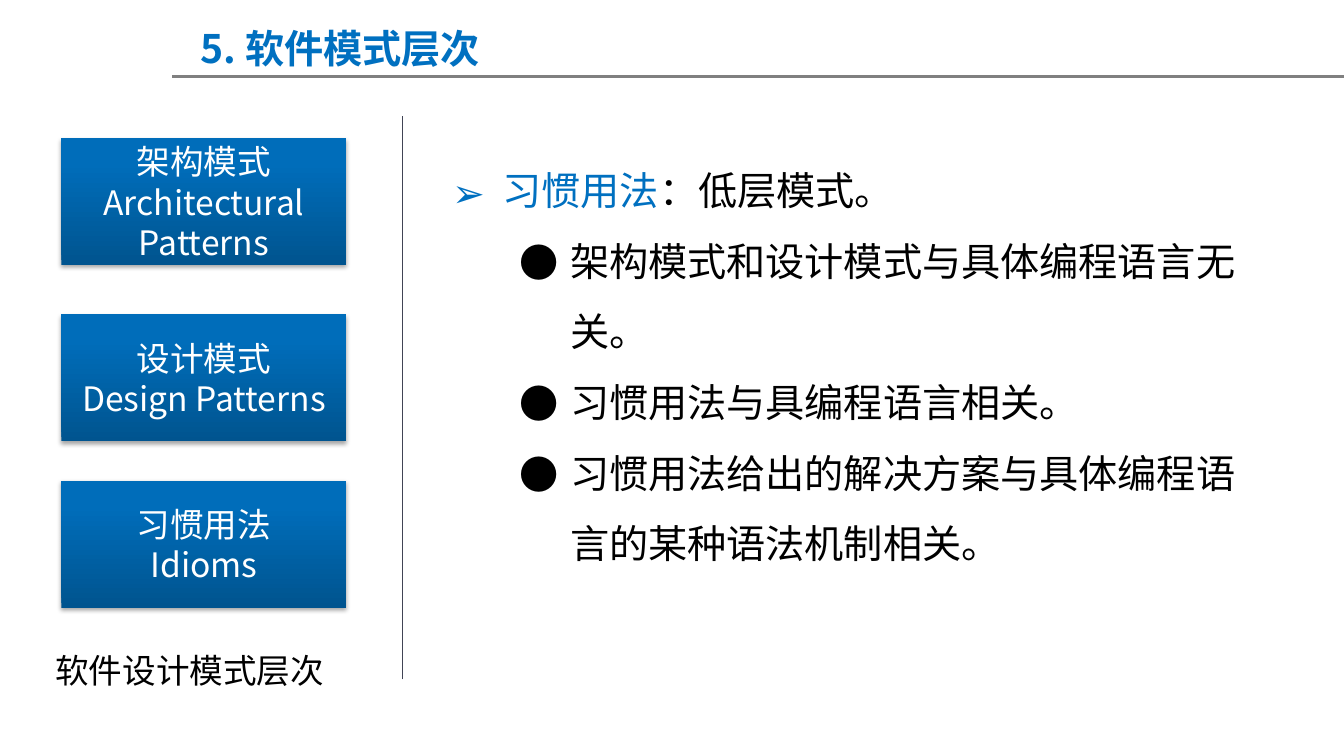
import pptx
import pptx.util
import pptx.dml.color
import pptx.enum.shapes
import pptx.enum.text
import pptx.oxml
import pptx.oxml.ns
from pptx.util import Inches

FONT = "Noto Sans CJK SC"
COLOURS = {
    "accent": "0070C0",
    "text": "000000",
    "white": "FFFFFF",
    "title_rule": "808080",
    "divider": "414455",
}
LEVEL_GRADIENT = [(0, "00548F"), (80, "006DBA"), (100, "006DBB")]
LEVELS = [
    (1.37, "架构模式", "Architectural Patterns"),
    (3.12, "设计模式", "Design Patterns"),
    (4.77, "习惯用法", "Idioms"),
]
IDIOM_POINTS = [
    "架构模式和设计模式与具体编程语言无关。",
    "习惯用法与具编程语言相关。",
    "习惯用法给出的解决方案与具体编程语言的某种语法机制相关。",
]


def rgb(name):
    """Return the named colour."""
    return pptx.dml.color.RGBColor.from_string(COLOURS[name])


def add_xml(parent, tag, **attributes):
    """Append a DrawingML element to its parent."""
    element = parent.makeelement(pptx.oxml.ns.qn(tag), attributes)
    parent.append(element)
    return element


def style_span(span, size, colour, bold=False):
    """Set the font of one run for Latin and East Asian text."""
    span.font.size = pptx.util.Pt(size)
    span.font.bold = bold
    span.font.color.rgb = rgb(colour)
    span.font.name = FONT
    add_xml(span.font._element, "a:ea", typeface=FONT)


def add_text_box(page, left, top, width, height):
    """Add a wrapping text box that grows with its text."""
    box = page.shapes.add_textbox(Inches(left), Inches(top), Inches(width), Inches(height))
    box.text_frame.word_wrap = True
    box.text_frame.auto_size = pptx.enum.text.MSO_AUTO_SIZE.SHAPE_TO_FIT_TEXT
    return box


def add_label(page, text, left, top, width, height, size, colour, bold=False):
    """Add a text box with a single line."""
    box = add_text_box(page, left, top, width, height)
    box.text_frame.text = text
    style_span(box.text_frame.paragraphs[0].runs[0], size, colour, bold)


def add_line(page, start, end, colour, width):
    """Add a straight line without a shadow."""
    line = page.shapes.add_connector(
        pptx.enum.shapes.MSO_CONNECTOR.STRAIGHT, *map(Inches, start + end)
    )
    line.line.color.rgb = rgb(colour)
    line.line.width = pptx.util.Pt(width)
    add_xml(line._element.spPr, "a:effectLst")


def fill_level(box):
    """Give a level box its upward gradient and soft shadow."""
    box.fill.gradient()
    box.fill.gradient_angle = 90
    stops = box._element.spPr.find(".//" + pptx.oxml.ns.qn("a:gsLst"))
    for stop in list(stops):
        stops.remove(stop)
    for position, colour in LEVEL_GRADIENT:
        stop = add_xml(stops, "a:gs", pos=str(position * 1000))
        add_xml(stop, "a:srgbClr", val=colour)
    box.line.fill.background()
    box.shadow.inherit = False
    effects = box._element.spPr.find(pptx.oxml.ns.qn("a:effectLst"))
    shadow = add_xml(
        effects, "a:outerShdw", blurRad="40000", dist="23000", dir="5400000", rotWithShape="0"
    )
    add_xml(add_xml(shadow, "a:srgbClr", val=COLOURS["text"]), "a:alpha", val="35000")


def add_level(group, top, chinese, english):
    """Add one level of the pattern hierarchy."""
    box = group.shapes.add_shape(
        pptx.enum.shapes.MSO_SHAPE.RECTANGLE,
        Inches(0.61), Inches(top), Inches(2.83), Inches(1.26),
    )
    fill_level(box)
    frame = box.text_frame
    frame.word_wrap = True
    frame.vertical_anchor = pptx.enum.text.MSO_ANCHOR.MIDDLE
    frame.text = f"{chinese}\n{english}"
    for para in frame.paragraphs:
        para.alignment = pptx.enum.text.PP_ALIGN.CENTER
        style_span(para.runs[0], 24, "white")


def format_bullet(para, symbol, margin, level):
    """Set the bullet, hanging indent and line spacing of a paragraph."""
    para.level = level
    para.line_spacing = 1.5
    properties = para._element.get_or_add_pPr()
    properties.set("marL", str(Inches(margin)))
    properties.set("indent", str(Inches(-0.5)))
    add_xml(properties, "a:buFont", typeface=FONT)
    add_xml(properties, "a:buChar", char=symbol)


def add_idiom_points(page):
    """Add the bulleted explanation of idioms."""
    frame = add_text_box(page, 4.39, 1.37, 8.35, 4.34).text_frame
    heading = frame.paragraphs[0]
    format_bullet(heading, "➢", 0.5, 0)
    for text, colour in [("习惯用法", "accent"), ("：低层模式。", "text")]:
        span = heading.add_run()
        span.text = text
        style_span(span, 28, colour)
    for point in IDIOM_POINTS:
        para = frame.add_paragraph()
        para.text = point
        format_bullet(para, "●", 1.17, 1)
        style_span(para.runs[0], 28, "text")


def main():
    """Build and save the slide."""
    deck = pptx.Presentation()
    deck.slide_width = Inches(13.34)
    deck.slide_height = Inches(7.5)
    page = deck.slides.add_slide(deck.slide_layouts[6])
    add_line(page, (1.71, 0.76), (13.34, 0.76), "title_rule", 2)
    hierarchy = page.shapes.add_group_shape()
    for level in LEVELS:
        add_level(hierarchy, *level)
    add_label(page, "软件设计模式层次", 0.45, 6.4, 2.99, 0.5, 24, "text")
    add_line(page, (3.99, 6.74), (3.99, 1.15), "divider", 0.25)
    add_idiom_points(page)
    add_label(page, "5. 软件模式层次", 1.89, 0.19, 7.61, 0.57, 28, "accent", True)
    deck.save("out.pptx")


if __name__ == "__main__":
    main()
